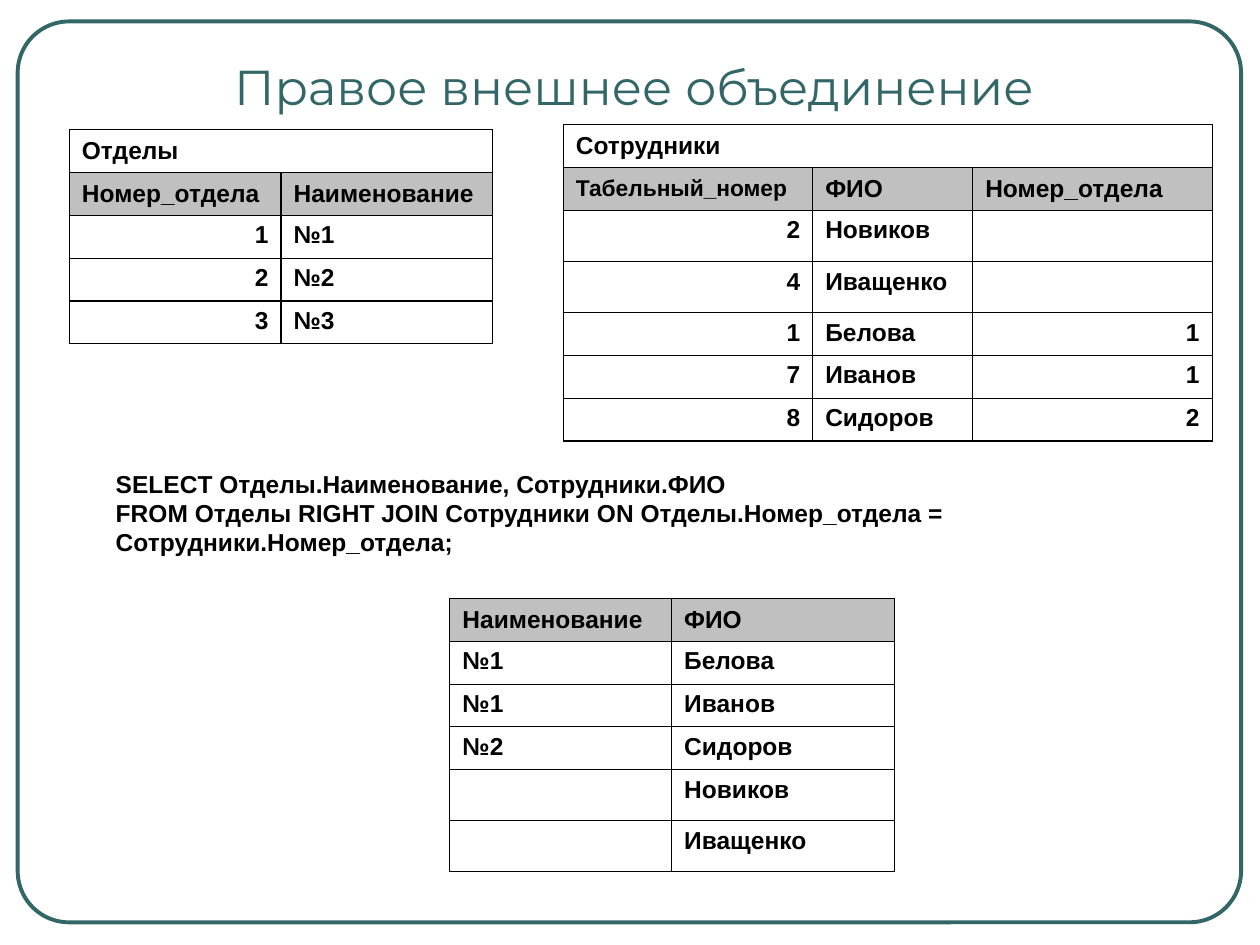
from lxml.etree import SubElement
from pptx import Presentation
from pptx.dml.color import RGBColor
from pptx.enum.shapes import MSO_SHAPE as Shape
from pptx.enum.text import MSO_ANCHOR as Anchor, MSO_AUTO_SIZE as AutoSize, PP_ALIGN as Align
from pptx.oxml.ns import qn
from pptx.util import Inches, Pt

TEAL = RGBColor(0x33, 0x66, 0x66)
BLACK = RGBColor(0, 0, 0)
WHITE = RGBColor(0xFF, 0xFF, 0xFF)
GRAY = RGBColor(0xC0, 0xC0, 0xC0)

ROW_HEIGHT = 0.34
THIN, NORMAL = Pt(0.45), Pt(0.75)

DEPARTMENTS = [
    ["Номер_отдела", "Наименование"],
    ["1", "№1"],
    ["2", "№2"],
    ["3", "№3"],
]
EMPLOYEES = [
    ["Табельный_номер", "ФИО", "Номер_отдела"],
    ["2", "Новиков", ""],
    ["4", "Иващенко", ""],
    ["1", "Белова", "1"],
    ["7", "Иванов", "1"],
    ["8", "Сидоров", "2"],
]
JOINED = [
    ["Наименование", "ФИО"],
    ["№1", "Белова"],
    ["№1", "Иванов"],
    ["№2", "Сидоров"],
    ["", "Новиков"],
    ["", "Иващенко"],
]
QUERY = [
    "SELECT Отделы.Наименование, Сотрудники.ФИО",
    "FROM Отделы RIGHT JOIN Сотрудники ON Отделы.Номер_отдела = Сотрудники.Номер_отдела;",
]


def style_font(para, size, color=BLACK, name="Arial", bold=True):
    font = para.font
    font.name, font.size, font.bold = name, Pt(size), bold
    font.color.rgb = color


def add_frame(page, left, top, width, height):
    frame = page.shapes.add_shape(
        Shape.ROUNDED_RECTANGLE, Inches(left), Inches(top), Inches(width), Inches(height))
    frame.adjustments[0] = 0.057
    frame.shadow.inherit = False
    frame.fill.background()
    frame.line.color.rgb = TEAL
    frame.line.width = Pt(2.25)


def place_title(page, text, left, top, width, height):
    title = page.shapes.title
    title.left, title.top = Inches(left), Inches(top)
    title.width, title.height = Inches(width), Inches(height)
    text_frame = title.text_frame
    text_frame.text = text
    text_frame.auto_size = AutoSize.NONE
    text_frame.vertical_anchor = Anchor.TOP
    para = text_frame.paragraphs[0]
    para.alignment = Align.CENTER
    style_font(para, 28, TEAL, "Montserrat", False)


def set_borders(cell, outer):
    properties = cell._tc.get_or_add_tcPr()
    for side, width in (("L", outer), ("R", outer), ("T", outer), ("B", NORMAL)):
        line = SubElement(properties, qn(f"a:ln{side}"), w=str(width))
        fill = SubElement(line, qn("a:solidFill"))
        SubElement(fill, qn("a:srgbClr"), val=str(BLACK))


def fill_cell(cell, text, color, anchor, outer=NORMAL, size=14):
    set_borders(cell, outer)
    cell.fill.solid()
    cell.fill.fore_color.rgb = color
    cell.vertical_anchor = anchor
    if text:
        cell.text = text
        para = cell.text_frame.paragraphs[0]
        para.alignment = Align.RIGHT if text.isdigit() else Align.LEFT
        style_font(para, size)


def add_data_table(page, left, top, widths, rows, caption=None, small_headers=()):
    offset = 1 if caption else 0
    count = len(rows) + offset
    table = page.shapes.add_table(
        count, len(widths), Inches(left), Inches(top),
        Inches(sum(widths)), Inches(ROW_HEIGHT * count)).table
    table.first_row = table.horz_banding = False
    for column, width in zip(table.columns, widths):
        column.width = Inches(width)
    for row in table.rows:
        row.height = Inches(ROW_HEIGHT)
    if caption:
        for index in range(len(widths)):
            fill_cell(table.cell(0, index), "" if index else caption, WHITE, Anchor.MIDDLE, THIN)
        table.cell(0, 0).merge(table.cell(0, len(widths) - 1))
    for row_index, values in enumerate(rows):
        color, anchor = (WHITE, Anchor.TOP) if row_index else (GRAY, Anchor.MIDDLE)
        for index, text in enumerate(values):
            size = 13 if text in small_headers else 14
            fill_cell(table.cell(row_index + offset, index), text, color, anchor, size=size)


def add_query(page, lines, left, top, width, height):
    box = page.shapes.add_textbox(Inches(left), Inches(top), Inches(width), Inches(height))
    text_frame = box.text_frame
    text_frame.word_wrap = True
    text_frame.auto_size = AutoSize.SHAPE_TO_FIT_TEXT
    text_frame.text = "\n".join(lines)
    for para in text_frame.paragraphs:
        style_font(para, 14)


def build_join_slide(deck):
    page = deck.slides.add_slide(deck.slide_layouts[5])
    add_frame(page, 0.14, 0.17, 9.71, 7.15)
    add_data_table(page, 3.57, 4.75, [1.76, 1.77], JOINED)
    place_title(page, "Правое внешнее объединение", 0.82, 0.4, 8.42, 0.73)
    add_data_table(page, 0.55, 1.03, [1.68, 1.68], DEPARTMENTS, "Отделы")
    add_data_table(page, 4.47, 0.99, [1.98, 1.27, 1.9], EMPLOYEES, "Сотрудники",
                   small_headers=("Табельный_номер",))
    add_query(page, QUERY, 0.82, 3.67, 8.68, 0.8)


def main():
    deck = Presentation()
    deck.slide_width, deck.slide_height = Inches(10), Inches(7.5)
    build_join_slide(deck)
    deck.save("out.pptx")


if __name__ == "__main__":
    main()
